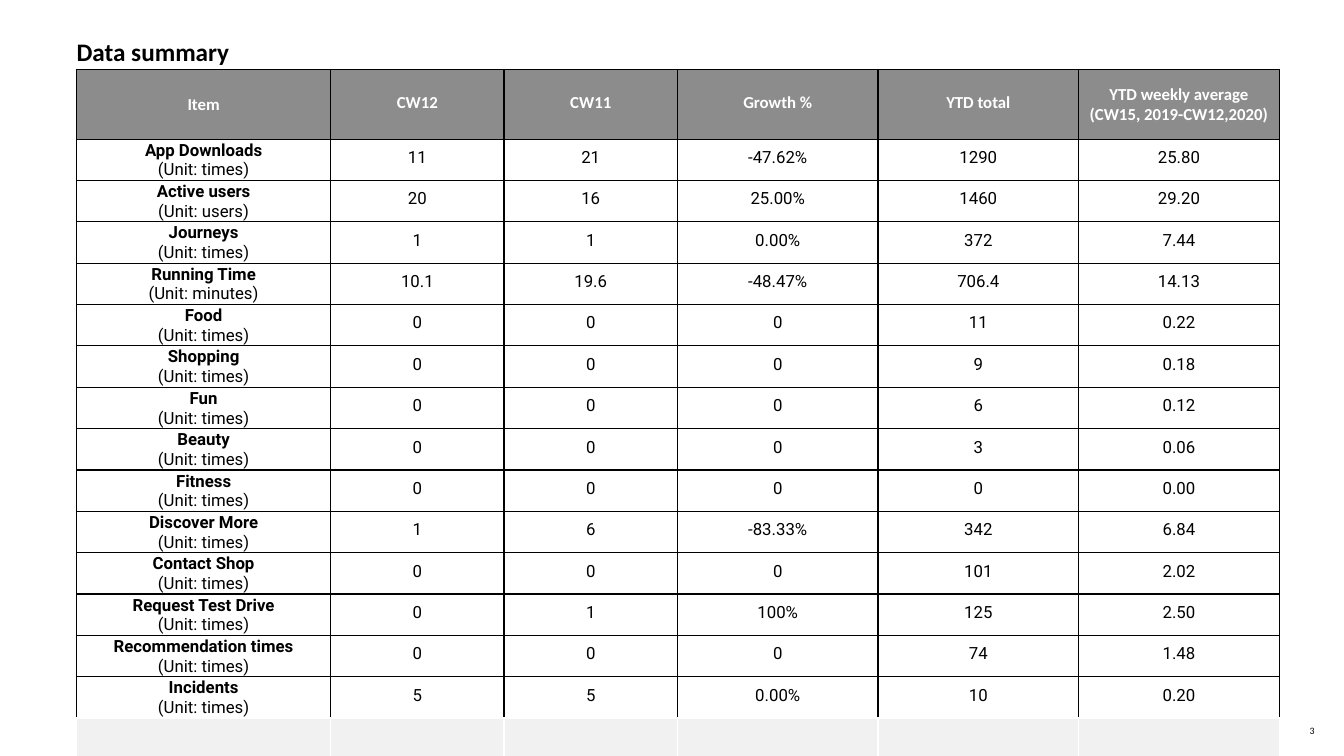
from dataclasses import dataclass

from lxml import etree
from pptx import Presentation
from pptx.dml.color import RGBColor
from pptx.enum.text import MSO_ANCHOR, PP_ALIGN
from pptx.oxml.ns import qn
from pptx.util import Inches, Pt

CENTER = PP_ALIGN.CENTER
TOP, MIDDLE = MSO_ANCHOR.TOP, MSO_ANCHOR.MIDDLE


@dataclass(frozen=True)
class Theme:
    black: str = "000000"
    white: str = "FFFFFF"
    header: str = "8C8C8C"
    footer: str = "F1F1F1"
    heading_font: str = "Calibri"
    body_font: str = "Roboto"
    title_size: int = 18
    table_size: int = 12
    number_size: int = 7


T = Theme()

HEADERS = ["Item", "CW12", "CW11", "Growth %", "YTD total",
           "YTD weekly average\n(CW15, 2019-CW12,2020)"]
ITEMS = [
    ("App Downloads", "times", "11", "21", "-47.62%", "1290", "25.80"),
    ("Active users", "users", "20", "16", "25.00%", "1460", "29.20"),
    ("Journeys", "times", "1", "1", "0.00%", "372", "7.44"),
    ("Running Time", "minutes", "10.1", "19.6", "-48.47%", "706.4", "14.13"),
    ("Food", "times", "0", "0", "0", "11", "0.22"),
    ("Shopping", "times", "0", "0", "0", "9", "0.18"),
    ("Fun", "times", "0", "0", "0", "6", "0.12"),
    ("Beauty", "times", "0", "0", "0", "3", "0.06"),
    ("Fitness", "times", "0", "0", "0", "0", "0.00"),
    ("Discover More", "times", "1", "6", "-83.33%", "342", "6.84"),
    ("Contact Shop", "times", "0", "0", "0", "101", "2.02"),
    ("Request Test Drive", "times", "0", "1", "100%", "125", "2.50"),
    ("Recommendation times", "times", "0", "0", "0", "74", "1.48"),
    ("Incidents", "times", "5", "5", "0.00%", "10", "0.20"),
]
COL_WIDTHS = [2.52, 1.72, 1.72, 1.99, 1.99, 1.99]
HEADER_H, ITEM_H, FOOTER_H = 0.69, 0.4, 0.38


def write(tf, text, font, size, color, bold=False, align=None):
    """Fill a text frame, one paragraph per line of text."""
    tf.text = text
    for p in tf.paragraphs:
        p.alignment = align
        p.font.name = font
        p.font.size = Pt(size)
        p.font.bold = bold
        p.font.color.rgb = RGBColor.from_string(color)


def style_cell(cell, fill, sides):
    """Set the fill and the 1 pt borders; sides maps L, R, T, B to colours."""
    tcPr = cell._tc.get_or_add_tcPr()
    for side, color in sides.items():
        ln = etree.SubElement(tcPr, qn(f"a:ln{side}"), w=str(Pt(1)))
        solid = etree.SubElement(ln, qn("a:solidFill"))
        etree.SubElement(solid, qn("a:srgbClr"), val=color)
    if fill:
        cell.fill.solid()
        cell.fill.fore_color.rgb = RGBColor.from_string(fill)
    else:
        cell.fill.background()


prs = Presentation()
prs.slide_width, prs.slide_height = Inches(13.33), Inches(7.5)
s = prs.slides.add_slide(prs.slide_layouts[6])

# Title and page number
for text, box, size, bold, anchor in [
    ("3", (12.99, 7.16, 0.34, 0.17), T.number_size, False, MIDDLE),
    ("Data summary", (0.76, 0.33, 12.4, 0.67), T.title_size, True, TOP),
]:
    tf = s.shapes.add_textbox(*map(Inches, box)).text_frame
    tf.word_wrap = True
    tf.vertical_anchor = anchor
    tf.margin_left = tf.margin_right = tf.margin_top = tf.margin_bottom = 0
    write(tf, text, T.heading_font, size, T.black, bold)
tf.paragraphs[0].line_spacing = 1.1

# Summary table: header, items and an empty closing row
rows = [HEADERS]
rows += [(f"{name}\n(Unit: {unit})", *values) for name, unit, *values in ITEMS]
rows.append([""] * len(HEADERS))
last = len(rows) - 1
heights = [HEADER_H] + [ITEM_H] * len(ITEMS) + [FOOTER_H]

table = s.shapes.add_table(len(rows), len(HEADERS), Inches(0.76), Inches(0.69),
                           Inches(sum(COL_WIDTHS)), Inches(sum(heights))).table
table.first_row = table.horz_banding = False
for column, width in zip(table.columns, COL_WIDTHS):
    column.width = Inches(width)

for i, (values, height) in enumerate(zip(rows, heights)):
    table.rows[i].height = Inches(height)
    line = T.white if i == last else T.black
    bottom = T.white if i >= last - 1 else T.black
    fill = {0: T.header, last: T.footer}.get(i)
    for j, value in enumerate(values):
        cell = table.cell(i, j)
        style_cell(cell, fill, {"L": line, "R": line, "T": line if i < last else T.white, "B": bottom})
        if i == last:
            continue
        cell.vertical_anchor = MIDDLE
        if (i, j) != (0, 0):
            cell.margin_left = cell.margin_right = cell.margin_top = Inches(0.01)
            cell.margin_bottom = Inches(0 if "\n" in value else 0.05)
        tf = cell.text_frame
        if i == 0:
            write(tf, value, T.heading_font, T.table_size, T.white, True, CENTER)
        else:
            write(tf, value, T.body_font, T.table_size, T.black, False, CENTER)
            tf.paragraphs[0].font.bold = j == 0

prs.save("out.pptx")
